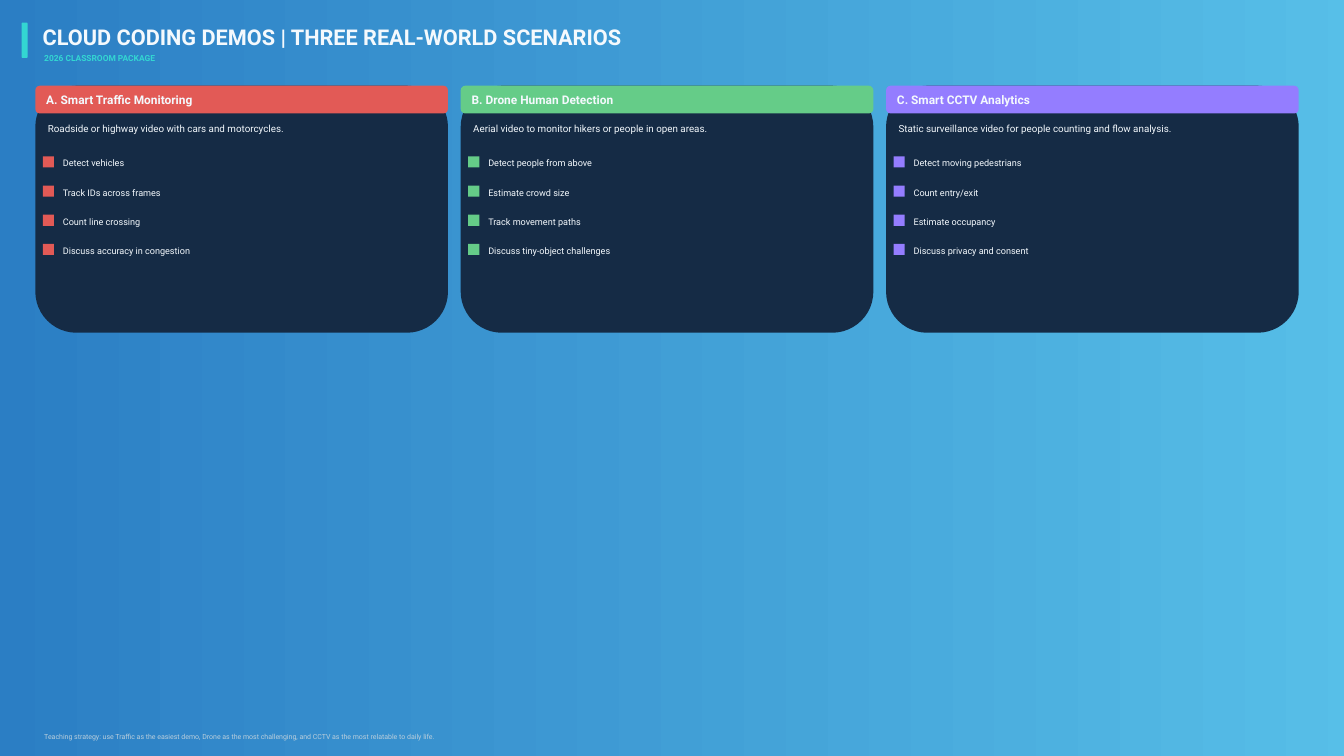
from dataclasses import dataclass

import pptx
import pptx.dml.color
import pptx.enum.shapes
import pptx.enum.text
import pptx.shapes.autoshape
import pptx.slide
import pptx.util

Cm = pptx.util.Cm
ShapeType = pptx.enum.shapes.MSO_SHAPE


@dataclass(frozen=True)
class Theme:
    font: str = "Roboto"
    gradient_start: str = "2B7EC4"
    gradient_end: str = "57BFE8"
    accent: str = "33D6D2"
    panel: str = "152B45"
    text: str = "F4F9FD"
    muted: str = "B9CEDC"
    red: str = "E25A56"
    green: str = "65CC88"
    purple: str = "947DFF"
    title_size: int = 31
    subtitle_size: int = 12
    heading_size: int = 17
    summary_size: int = 14
    item_size: int = 13
    footer_size: int = 10


@dataclass(frozen=True)
class Box:
    left: float
    top: float
    width: float
    height: float

    def lengths(self) -> tuple[int, int, int, int]:
        return Cm(self.left), Cm(self.top), Cm(self.width), Cm(self.height)


@dataclass(frozen=True)
class Scenario:
    heading: str
    summary: str
    items: tuple[str, ...]
    color: str


THEME = Theme()
CARD = Box(1.78, 4.32, 20.8, 12.45)
CARD_PITCH = 21.44
HEADER_HEIGHT = 1.4
ITEM_PITCH = 1.47
MARKER_SIZE = 0.56

SCENARIOS = (
    Scenario(
        "A. Smart Traffic Monitoring",
        "Roadside or highway video with cars and motorcycles.",
        ("Detect vehicles", "Track IDs across frames", "Count line crossing",
         "Discuss accuracy in congestion"),
        THEME.red,
    ),
    Scenario(
        "B. Drone Human Detection",
        "Aerial video to monitor hikers or people in open areas.",
        ("Detect people from above", "Estimate crowd size", "Track movement paths",
         "Discuss tiny-object challenges"),
        THEME.green,
    ),
    Scenario(
        "C. Smart CCTV Analytics",
        "Static surveillance video for people counting and flow analysis.",
        ("Detect moving pedestrians", "Count entry/exit", "Estimate occupancy",
         "Discuss privacy and consent"),
        THEME.purple,
    ),
)


def rgb(color: str) -> pptx.dml.color.RGBColor:
    return pptx.dml.color.RGBColor.from_string(color)


def add_block(slide: pptx.slide.Slide, box: Box, color: str,
              kind: ShapeType = ShapeType.ROUNDED_RECTANGLE) -> pptx.shapes.autoshape.Shape:
    shape = slide.shapes.add_shape(kind, *box.lengths())
    shape.shadow.inherit = False
    shape.fill.solid()
    shape.fill.fore_color.rgb = rgb(color)
    shape.line.fill.background()
    return shape


def add_text(slide: pptx.slide.Slide, box: Box, text: str, size: int,
             color: str = THEME.text, bold: bool = False) -> None:
    frame = slide.shapes.add_textbox(*box.lengths()).text_frame
    frame.word_wrap = True
    frame.auto_size = pptx.enum.text.MSO_AUTO_SIZE.SHAPE_TO_FIT_TEXT
    paragraph = frame.paragraphs[0]
    paragraph.text = text
    paragraph.space_after = pptx.util.Pt(8)
    paragraph.font.name = THEME.font
    paragraph.font.size = pptx.util.Pt(size)
    paragraph.font.bold = bold
    paragraph.font.color.rgb = rgb(color)


def add_backdrop(slide: pptx.slide.Slide) -> None:
    backdrop = add_block(slide, Box(-0.33, -0.76, 69.37, 39.19),
                         THEME.gradient_start, ShapeType.RECTANGLE)
    backdrop.fill.gradient()
    backdrop.fill.gradient_angle = 0
    colors = (THEME.gradient_start, THEME.gradient_end)
    for position, (stop, color) in enumerate(zip(backdrop.fill.gradient_stops, colors)):
        stop.position = position
        stop.color.rgb = rgb(color)


def add_scenario(slide: pptx.slide.Slide, scenario: Scenario, left: float) -> None:
    top = CARD.top
    add_block(slide, Box(left, top, CARD.width, CARD.height), THEME.panel)
    add_block(slide, Box(left, top, CARD.width, HEADER_HEIGHT), scenario.color)
    add_text(slide, Box(left + 0.3, top + 0.2, 20.19, 0.89), scenario.heading,
             THEME.heading_size, bold=True)
    add_text(slide, Box(left + 0.38, top + 1.73, 20.04, 1.4), scenario.summary,
             THEME.summary_size)
    for index, item in enumerate(scenario.items):
        item_top = top + 3.51 + index * ITEM_PITCH
        add_block(slide, Box(left + 0.38, item_top + 0.05, MARKER_SIZE, MARKER_SIZE),
                  scenario.color, ShapeType.RECTANGLE)
        add_text(slide, Box(left + 1.14, item_top, 19.28, 0.71), item, THEME.item_size)


def main() -> None:
    presentation = pptx.Presentation()
    presentation.slide_width = Cm(67.74)
    presentation.slide_height = Cm(38.1)
    slide = presentation.slides.add_slide(presentation.slide_layouts[6])

    add_backdrop(slide)
    add_block(slide, Box(1.09, 1.14, 0.3, 1.78), THEME.accent)
    add_text(slide, Box(1.9, 1.09, 64.44, 1.14),
             "CLOUD CODING DEMOS | THREE REAL-WORLD SCENARIOS", THEME.title_size, bold=True)
    add_text(slide, Box(1.98, 2.54, 64.19, 0.76), "2026 CLASSROOM PACKAGE",
             THEME.subtitle_size, THEME.accent, bold=True)
    for index, scenario in enumerate(SCENARIOS):
        add_scenario(slide, scenario, CARD.left + index * CARD_PITCH)
    add_text(slide, Box(1.98, 36.78, 64.19, 0.81),
             "Teaching strategy: use Traffic as the easiest demo, Drone as the most "
             "challenging, and CCTV as the most relatable to daily life.",
             THEME.footer_size, THEME.muted)

    presentation.save("out.pptx")


if __name__ == "__main__":
    main()
